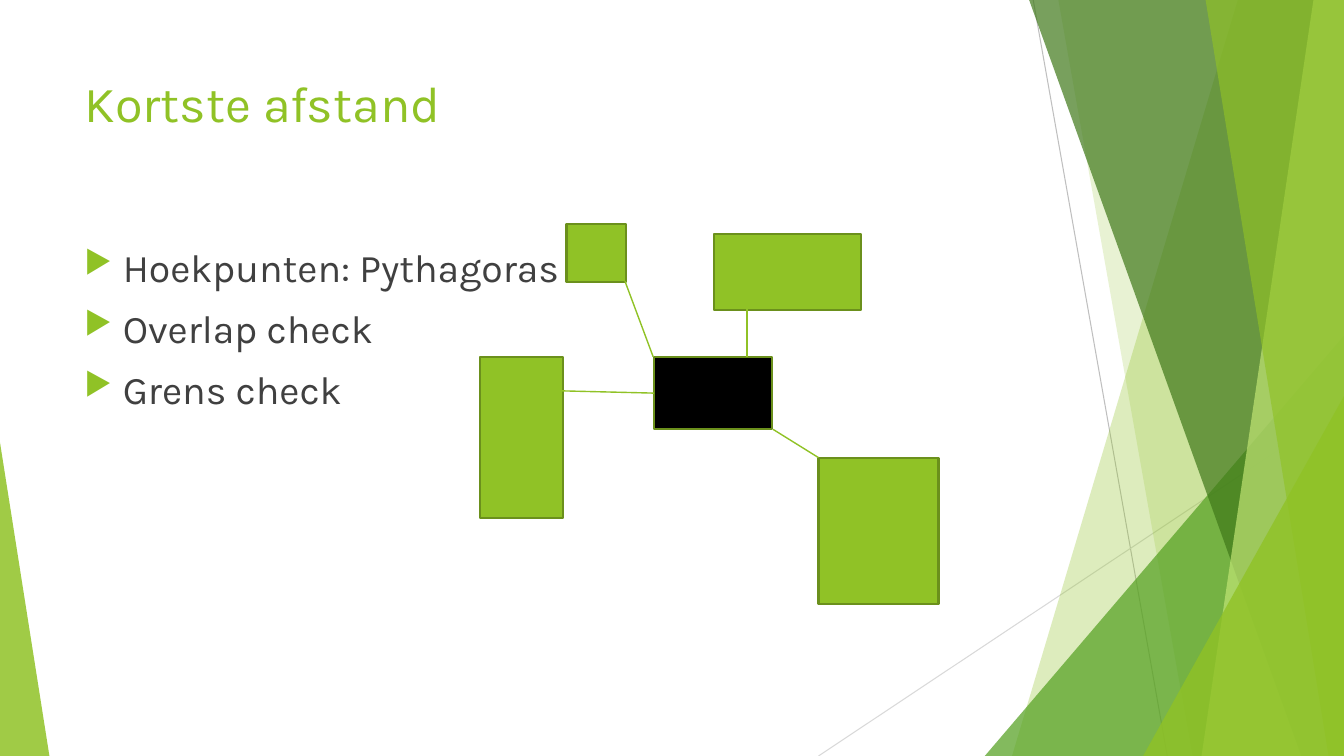
from dataclasses import dataclass

from lxml import etree
from pptx import Presentation
from pptx.dml.color import RGBColor
from pptx.enum.shapes import MSO_CONNECTOR, MSO_SHAPE
from pptx.enum.text import MSO_ANCHOR, MSO_AUTO_SIZE, PP_ALIGN
from pptx.oxml.ns import qn
from pptx.util import Inches, Pt

RECTANGLE = MSO_SHAPE.RECTANGLE
TRIANGLE = MSO_SHAPE.ISOSCELES_TRIANGLE
STRAIGHT = MSO_CONNECTOR.STRAIGHT
TOP = MSO_ANCHOR.TOP
LEFT = PP_ALIGN.LEFT
FIXED = MSO_AUTO_SIZE.NONE
TITLE_ONLY = 5

# The slide is a grid of square cells, a tenth of an inch each.
CELL = Inches(0.1)
COLUMNS, ROWS = 133.33, 75


@dataclass(frozen=True)
class Theme:
    font: str = "Karla"
    title_size: int = 36
    body_size: int = 28
    lime: str = "90C226"
    pale: str = "C0E474"
    leaf: str = "54A021"
    forest: str = "3F7819"
    edge: str = "6B901C"
    text: str = "404040"
    black: str = "000000"
    gray: str = "BFBFBF"
    light_gray: str = "D9D9D9"


THEME = Theme()

# Bands reach the right edge: top start, bottom start, colour, opacity.
BACK_BANDS = [(122.8, 100.4, THEME.lime, 30), (105, 118.3, THEME.lime, 20)]
FRONT_BANDS = [
    (102.1, 129.1, THEME.forest, 70),
    (130.3, 119.2, THEME.pale, 70),
    (119.6, 131.8, THEME.lime, 65),
]

OBSTACLES = [
    (56.2, 22.2, 5.9, 5.8),
    (47.6, 35.4, 8.3, 16),
    (70.8, 23.2, 14.6, 7.6),
    (81.2, 45.4, 11.9, 14.5),
]
CENTRE_BLOCK = (64.9, 35.4, 11.7, 7.2)
DISTANCES = [
    ((64.9, 39), (52.5, 38.7)),
    ((62, 27.9), (64.8, 35.4)),
    ((74.1, 35.4), (74.1, 29.5)),
    ((81.2, 45.4), (76.7, 42.6)),
]
CHECKS = ["Hoekpunten: Pythagoras", "Overlap check", "Grens check"]


def cells(*counts):
    return [round(count * CELL) for count in counts]


def paint(shape, color, opacity=100, edge=None):
    shape.shadow.inherit = False
    shape.fill.solid()
    shape.fill.fore_color.rgb = RGBColor.from_string(color)
    if opacity < 100:
        tint = shape.fill._xPr.find(".//" + qn("a:srgbClr"))
        etree.SubElement(tint, qn("a:alpha"), val=str(opacity * 1000))
    if edge:
        shape.line.color.rgb = RGBColor.from_string(edge)
        shape.line.width = Pt(1.5)
    else:
        shape.line.fill.background()


def add_band(slide, top_start, bottom_start, color, opacity):
    corners = [(COLUMNS, 0), (COLUMNS, ROWS), (bottom_start, ROWS)]
    builder = slide.shapes.build_freeform(*cells(top_start, 0), scale=1.0)
    builder.add_line_segments([cells(*corner) for corner in corners], close=True)
    paint(builder.convert_to_shape(), color, opacity)


def add_triangle(slide, left, width, height, apex, color, opacity):
    """Stand a triangle on the bottom edge, its apex at a share of its width."""
    place = cells(left, ROWS - height, width, height)
    triangle = slide.shapes.add_shape(TRIANGLE, *place)
    triangle.adjustments[0] = apex
    paint(triangle, color, opacity)


def add_block(slide, place, color):
    block = slide.shapes.add_shape(RECTANGLE, *cells(*place))
    paint(block, color, edge=THEME.edge)


def add_line(slide, start, end, color, width):
    line = slide.shapes.add_connector(STRAIGHT, *cells(*start, *end))
    line.line.color.rgb = RGBColor.from_string(color)
    line.line.width = Pt(width)
    etree.SubElement(line._element.spPr, qn("a:effectLst"))


def add_bullet(para):
    properties = para._p.get_or_add_pPr()
    indent = Inches(0.38)
    properties.set("marL", str(indent))
    properties.set("indent", str(-indent))
    bullet_color = etree.SubElement(properties, qn("a:buClr"))
    etree.SubElement(bullet_color, qn("a:srgbClr"), val=THEME.lime)
    etree.SubElement(properties, qn("a:buSzPct"), val="80000")
    etree.SubElement(properties, qn("a:buChar"), char="▶")


def write(box, lines, *, size, color, bullets=False, gap=0):
    frame = box.text_frame
    frame.word_wrap = True
    frame.auto_size = FIXED
    frame.vertical_anchor = TOP
    for index, line in enumerate(lines):
        para = frame.add_paragraph() if index else frame.paragraphs[0]
        para.alignment = LEFT
        if index:
            para.space_before = Pt(gap)
        if bullets:
            add_bullet(para)
        span = para.add_run()
        span.text = line
        span.font.name = THEME.font
        span.font.size = Pt(size)
        span.font.color.rgb = RGBColor.from_string(color)


def add_decoration(slide):
    add_line(slide, (102.5, 0), (115.8, ROWS), THEME.gray, 0.75)
    add_line(slide, (COLUMNS, 40.3), (81.2, ROWS), THEME.light_gray, 0.75)
    for band in BACK_BANDS:
        add_band(slide, *band)
    add_triangle(slide, 97.7, 35.63, 41.7, 1, THEME.leaf, 72)
    for band in FRONT_BANDS:
        add_band(slide, *band)
    add_triangle(slide, 113.4, 19.93, 35.7, 1, THEME.lime, 80)
    add_triangle(slide, 0, 4.9, 31.1, 0, THEME.lime, 85)


def add_texts(slide):
    title = slide.shapes.title
    title.left, title.top, title.width, title.height = cells(7.4, 6.7, 94, 14.4)
    write(title, ["Kortste afstand"], size=THEME.title_size, color=THEME.lime)
    body = slide.shapes.add_textbox(*cells(7.4, 23.6, 94, 42.4))
    write(body, CHECKS, size=THEME.body_size, color=THEME.text,
          bullets=True, gap=10)


def add_distance_diagram(slide):
    add_block(slide, CENTRE_BLOCK, THEME.black)
    for obstacle in OBSTACLES:
        add_block(slide, obstacle, THEME.lime)
    for start, end in DISTANCES:
        add_line(slide, start, end, THEME.lime, 1)


def main():
    deck = Presentation()
    deck.slide_width, deck.slide_height = cells(COLUMNS, ROWS)
    slide = deck.slides.add_slide(deck.slide_layouts[TITLE_ONLY])
    add_decoration(slide)
    add_texts(slide)
    add_distance_diagram(slide)
    deck.save("out.pptx")


if __name__ == "__main__":
    main()
